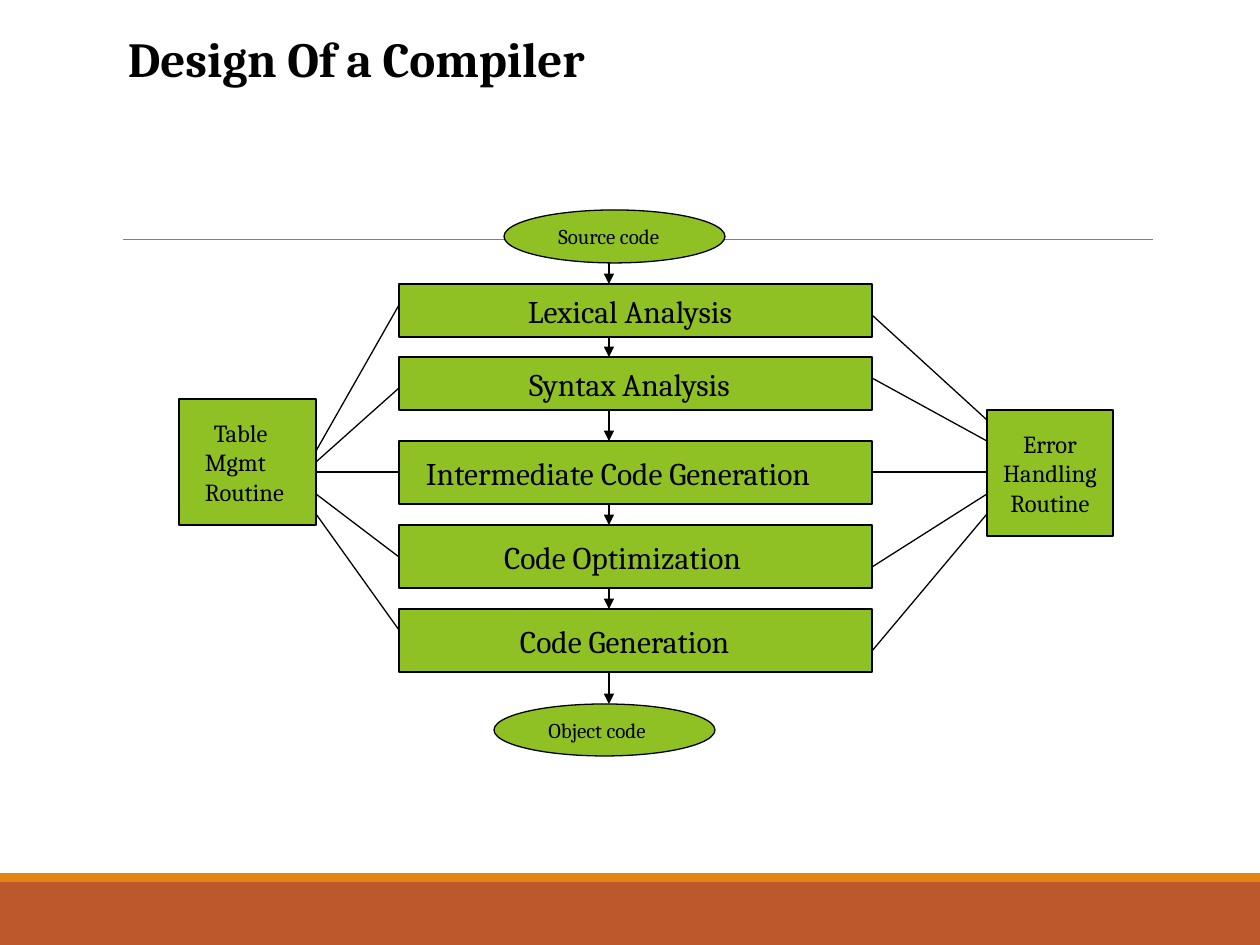
from dataclasses import dataclass
from itertools import pairwise

from lxml import etree
from pptx import Presentation
from pptx.dml.color import RGBColor
from pptx.enum.shapes import MSO_CONNECTOR, MSO_SHAPE
from pptx.enum.text import MSO_ANCHOR, PP_ALIGN
from pptx.oxml.ns import qn
from pptx.util import Pt

RECT, OVAL = MSO_SHAPE.RECTANGLE, MSO_SHAPE.OVAL
STRAIGHT = MSO_CONNECTOR.STRAIGHT
LEFT, CENTER = PP_ALIGN.LEFT, PP_ALIGN.CENTER
MIDDLE, BOTTOM = MSO_ANCHOR.MIDDLE, MSO_ANCHOR.BOTTOM
FONT = "Cambria"
SCALE = 914400 / 126
COLORS = {"node": "8FC125", "ink": "000000", "rule": "808080",
          "footer": "BD582C", "stripe": "E48312"}
FLOW_X = 609


@dataclass
class Node:
    text: str
    x: int
    y: int
    w: int
    h: int
    size: int
    inset: int = 0
    shape: int = RECT
    align: int = LEFT
    indent: int = 0


@dataclass
class Link:
    x1: int
    y1: int
    x2: int
    y2: int
    color: str = "ink"
    width: float = 0.75
    arrow: bool = False


FLOW = [
    Node("Source code", 504, 210, 221, 53, 12, 22, OVAL),
    Node("Lexical Analysis", 399, 284, 473, 53, 18, 129),
    Node("Syntax Analysis", 399, 357, 473, 53, 18, 130),
    Node("Intermediate Code Generation", 399, 441, 473, 63, 18, 27),
    Node("Code Optimization", 399, 525, 473, 63, 18, 105),
    Node("Code Generation", 399, 609, 473, 63, 18, 121),
    Node("Object code", 494, 704, 221, 52, 12, 22, OVAL),
]
ROUTINES = [
    Node("Table\vMgmt\vRoutine", 179, 399, 137, 126, 14, 26, indent=9),
    Node("Error\vHandling\vRoutine", 987, 410, 126, 126, 14, align=CENTER),
]
TABLE_LINKS = [(451, 305), (462, 388), (472, 472), (494, 557), (514, 630)]
ERROR_LINKS = [(315, 420), (378, 441), (472, 472), (567, 494), (651, 514)]


def emu(px: int) -> int:
    return round(px * SCALE)


def rgb(name: str) -> RGBColor:
    return RGBColor.from_string(COLORS[name])


def set_text(sp, text: str, size: int, anchor: int, inset: int = 0,
             align: int = LEFT, indent: int = 0, bold: bool = False) -> None:
    tf = sp.text_frame
    tf.word_wrap = True
    tf.vertical_anchor = anchor
    tf.margin_left = emu(inset)
    tf.margin_right = tf.margin_top = tf.margin_bottom = 0
    p = tf.paragraphs[0]
    p.text = text
    p.alignment = align
    p.font.name = FONT
    p.font.size = Pt(size)
    p.font.bold = bold
    p.font.color.rgb = rgb("ink")
    if indent:
        p._p.get_or_add_pPr().set("indent", str(emu(indent)))


def add_box(s, shape: int, x: int, y: int, w: int, h: int, fill: str):
    sp = s.shapes.add_shape(shape, emu(x), emu(y), emu(w), emu(h))
    sp.shadow.inherit = False
    sp.fill.solid()
    sp.fill.fore_color.rgb = rgb(fill)
    sp.line.fill.background()
    return sp


def add_node(s, n: Node) -> None:
    sp = add_box(s, n.shape, n.x, n.y, n.w, n.h, "node")
    sp.line.color.rgb = rgb("ink")
    sp.line.width = Pt(0.75)
    set_text(sp, n.text, n.size, MIDDLE, n.inset, n.align, n.indent)


def add_link(s, link: Link) -> None:
    cx = s.shapes.add_connector(STRAIGHT, emu(link.x1), emu(link.y1),
                                emu(link.x2), emu(link.y2))
    cx.line.color.rgb = rgb(link.color)
    cx.line.width = Pt(link.width)
    if link.arrow:
        etree.SubElement(cx.line._get_or_add_ln(), qn("a:tailEnd"), type="triangle")
    etree.SubElement(cx._element.spPr, qn("a:effectLst"))


def main() -> None:
    """Build the compiler design slide."""
    prs = Presentation()
    prs.slide_width, prs.slide_height = emu(1260), emu(945)
    s = prs.slides.add_slide(prs.slide_layouts[6])

    add_box(s, RECT, 0, 882, 1260, 63, "footer")
    add_box(s, RECT, 0, 873, 1260, 9, "stripe")
    add_link(s, Link(123, 239, 1153, 239, "rule", 0.5))
    title = s.shapes.add_textbox(emu(126), emu(25), emu(501), emu(62))
    set_text(title, "Design Of a Compiler", 28, BOTTOM, 2, bold=True)

    for n in FLOW + ROUTINES:
        add_node(s, n)
    for a, b in pairwise(FLOW):
        add_link(s, Link(FLOW_X, a.y + a.h, FLOW_X, b.y, width=0.7, arrow=True))

    table, error = ROUTINES
    phase = FLOW[1]
    for y1, y2 in TABLE_LINKS:
        add_link(s, Link(table.x + table.w, y1, phase.x, y2))
    for y1, y2 in ERROR_LINKS:
        add_link(s, Link(phase.x + phase.w, y1, error.x, y2))

    prs.save("out.pptx")


if __name__ == "__main__":
    main()
